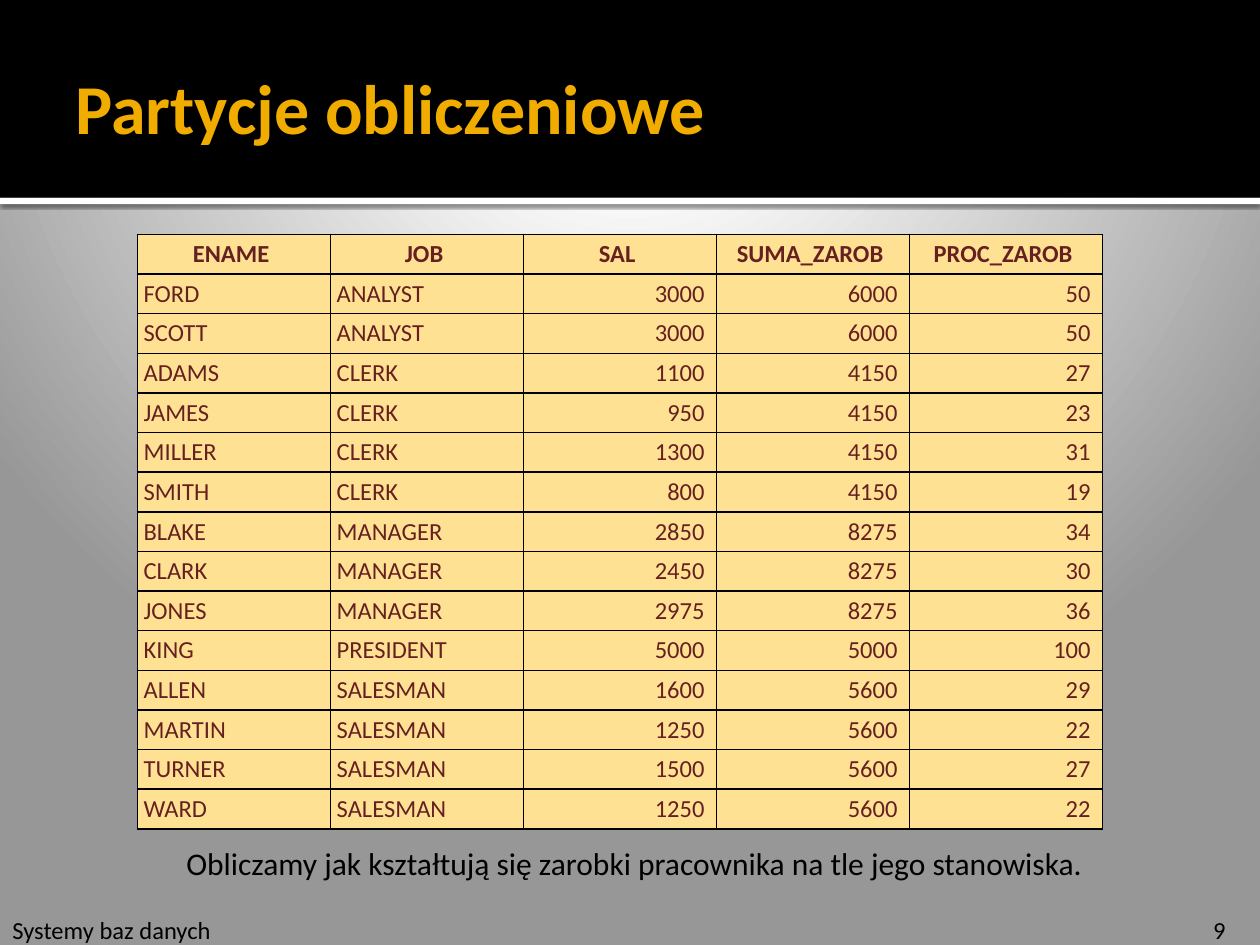
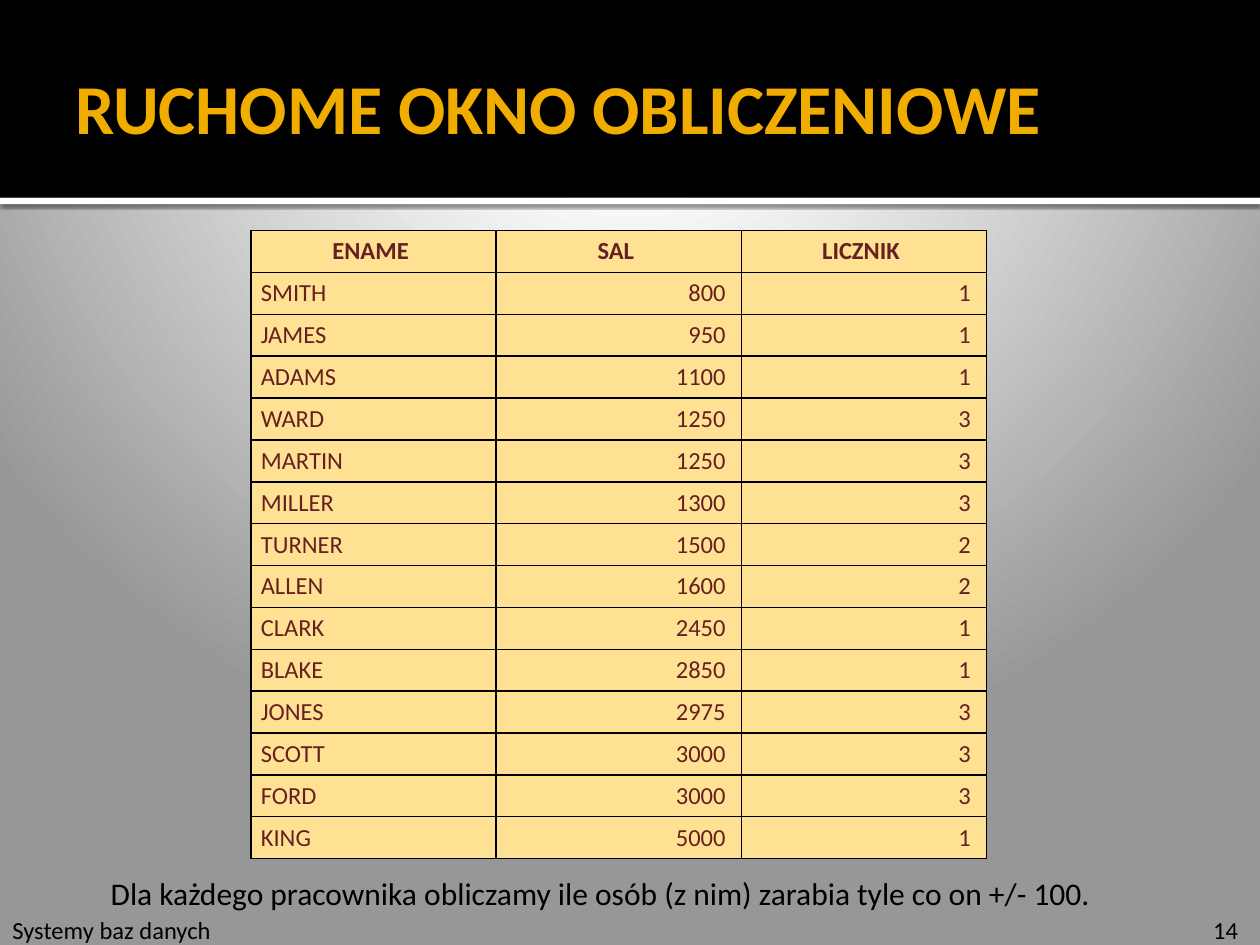
from pptx import Presentation
from pptx.dml.color import RGBColor
from pptx.enum.shapes import MSO_SHAPE as Shape
from pptx.enum.text import MSO_ANCHOR as Anchor, PP_ALIGN as Align
from pptx.oxml import parse_xml
from pptx.oxml.ns import nsdecls, qn
from pptx.util import Inches, Pt

WIDE, HIGH = 10, 7.5
FONT = "Calibri"
BLACK, WHITE, GRAY = "000000", "FFFFFF", "979797"
GOLD, CREAM, WINE = "F0AD00", "FFE193", "672020"

# Boxes are left, top, width, height in percent of the slide
BAND = (0, 0, 100, 20.93)
STRIPE = (0, 20.93, 100, 0.67)
TITLE = (5, 6.13, 90, 10.27)
FOOT = (0, 96.13, 28.7, 4.53)
PAGE = (95.3, 96.13, 4.7, 4.53)

PAY = """
ENAME JOB SAL SUMA_ZAROB PROC_ZAROB
FORD ANALYST 3000 6000 50
SCOTT ANALYST 3000 6000 50
ADAMS CLERK 1100 4150 27
JAMES CLERK 950 4150 23
MILLER CLERK 1300 4150 31
SMITH CLERK 800 4150 19
BLAKE MANAGER 2850 8275 34
CLARK MANAGER 2450 8275 30
JONES MANAGER 2975 8275 36
KING PRESIDENT 5000 5000 100
ALLEN SALESMAN 1600 5600 29
MARTIN SALESMAN 1250 5600 22
TURNER SALESMAN 1500 5600 27
WARD SALESMAN 1250 5600 22
"""

COUNT = """
ENAME SAL LICZNIK
SMITH 800 1
JAMES 950 1
ADAMS 1100 1
WARD 1250 3
MARTIN 1250 3
MILLER 1300 3
TURNER 1500 2
ALLEN 1600 2
CLARK 2450 1
BLAKE 2850 1
JONES 2975 3
SCOTT 3000 3
FORD 3000 3
KING 5000 1
"""


def color(code):
    return RGBColor.from_string(code)


def place(box):
    """Turn percent of the slide into lengths."""
    return [Inches(part * side / 100)
            for part, side in zip(box, (WIDE, HIGH) * 2)]


def write(para, text, size, code, bold=False):
    run = para.add_run()
    run.text = text
    run.font.name = FONT
    run.font.size = Pt(size)
    run.font.bold = bold
    run.font.color.rgb = color(code)


def label(slide, box, text, size, code=BLACK, bold=False):
    frame = slide.shapes.add_textbox(*place(box)).text_frame
    frame.word_wrap = True
    write(frame.paragraphs[0], text, size, code, bold)
    return frame


def bar(slide, box, code):
    shape = slide.shapes.add_shape(Shape.RECTANGLE, *place(box))
    shape.shadow.inherit = False
    shape.fill.solid()
    shape.fill.fore_color.rgb = color(code)
    shape.line.fill.background()
    return shape


def shade(shape):
    """Soft shadow falling straight down."""
    effects = shape.element.spPr.find(qn("a:effectLst"))
    effects.append(parse_xml(
        f'<a:outerShdw {nsdecls("a")} blurRad="{Pt(2.5)}" dist="{Pt(0.8)}" '
        f'dir="5400000" rotWithShape="0"><a:srgbClr val="{BLACK}">'
        '<a:alpha val="60000"/></a:srgbClr></a:outerShdw>'))


def glow(slide):
    """Radial background, white at the top and gray below."""
    stops = "".join(
        f'<a:gs pos="{spot * 1000}"><a:srgbClr val="{code}"/></a:gs>'
        for spot, code in ((0, WHITE), (12, WHITE), (20, WHITE), (100, GRAY)))
    slide.element.find(qn("p:cSld")).insert(0, parse_xml(
        f'<p:bg {nsdecls("p", "a")}><p:bgPr><a:gradFill rotWithShape="1">'
        f'<a:gsLst>{stops}</a:gsLst><a:path path="circle"><a:fillToRect '
        'l="10000" t="-25000" r="10000" b="125000"/></a:path></a:gradFill>'
        '<a:effectLst/></p:bgPr></p:bg>'))


def edge(cell):
    """Thin black line on all four sides."""
    props = cell._tc.get_or_add_tcPr()
    for spot, side in enumerate("LRTB"):
        props.insert(spot, parse_xml(
            f'<a:ln{side} {nsdecls("a")} w="{Pt(1)}"><a:solidFill>'
            f'<a:srgbClr val="{BLACK}"/></a:solidFill></a:ln{side}>'))


def grid(slide, box, data, pad):
    rows = [line.split() for line in data.strip().splitlines()]
    left, top, width, height = place(box)
    table = slide.shapes.add_table(
        len(rows), len(rows[0]), left, top, width, height).table
    table.first_row = table.horz_banding = False
    for col in table.columns:
        col.width = width // len(rows[0])
    for num, row in enumerate(rows):
        table.rows[num].height = height // len(rows)
        for spot, text in enumerate(row):
            cell = table.cell(num, spot)
            cell.fill.solid()
            cell.fill.fore_color.rgb = color(CREAM)
            edge(cell)
            cell.vertical_anchor = Anchor.MIDDLE
            cell.margin_left = cell.margin_right = Inches(pad)
            cell.margin_top = cell.margin_bottom = Inches(pad / 2)
            para = cell.text_frame.paragraphs[0]
            head = num == 0
            if head:
                para.alignment = Align.CENTER
            elif text.isdigit():
                para.alignment = Align.RIGHT
            # Headings and numbers carry a trailing space
            tail = " " if head or text.isdigit() else ""
            write(para, text + tail, 14, WINE, head)


def frame(slide, title, page):
    """Background, title band and footer shared by the slides."""
    glow(slide)
    shade(bar(slide, STRIPE, WHITE))
    bar(slide, BAND, BLACK)
    label(slide, FOOT, "Systemy baz danych", 14)
    label(slide, PAGE, str(page), 14)
    head = label(slide, TITLE, title, 40, GOLD, True)
    head.vertical_anchor = Anchor.MIDDLE
    head.margin_right = Inches(0.05)


def sheet(deck, title, page, data, box, pad, note, spot):
    """One slide with a table and a note below it."""
    slide = deck.slides.add_slide(deck.slide_layouts[6])
    frame(slide, title, page)
    label(slide, spot, note, 18)
    grid(slide, box, data, pad)


def main():
    deck = Presentation()
    deck.slide_width, deck.slide_height = Inches(WIDE), Inches(HIGH)
    sheet(deck, "Partycje obliczeniowe", 9,
          PAY, (10.9, 24.8, 76.6, 62.93), 0.05,
          "Obliczamy jak kształtują się zarobki pracownika "
          "na tle jego stanowiska.", (13.8, 88.67, 74.1, 5.33))
    sheet(deck, "RUCHOME OKNO OBLICZENIOWE", 14,
          COUNT, (19.9, 24.4, 58.4, 66.53), 0.08,
          "Dla każdego pracownika obliczamy ile osób (z nim) "
          "zarabia tyle co on +/- 100.", (7.8, 91.87, 83.1, 5.33))
    deck.save("out.pptx")


if __name__ == "__main__":
    main()
